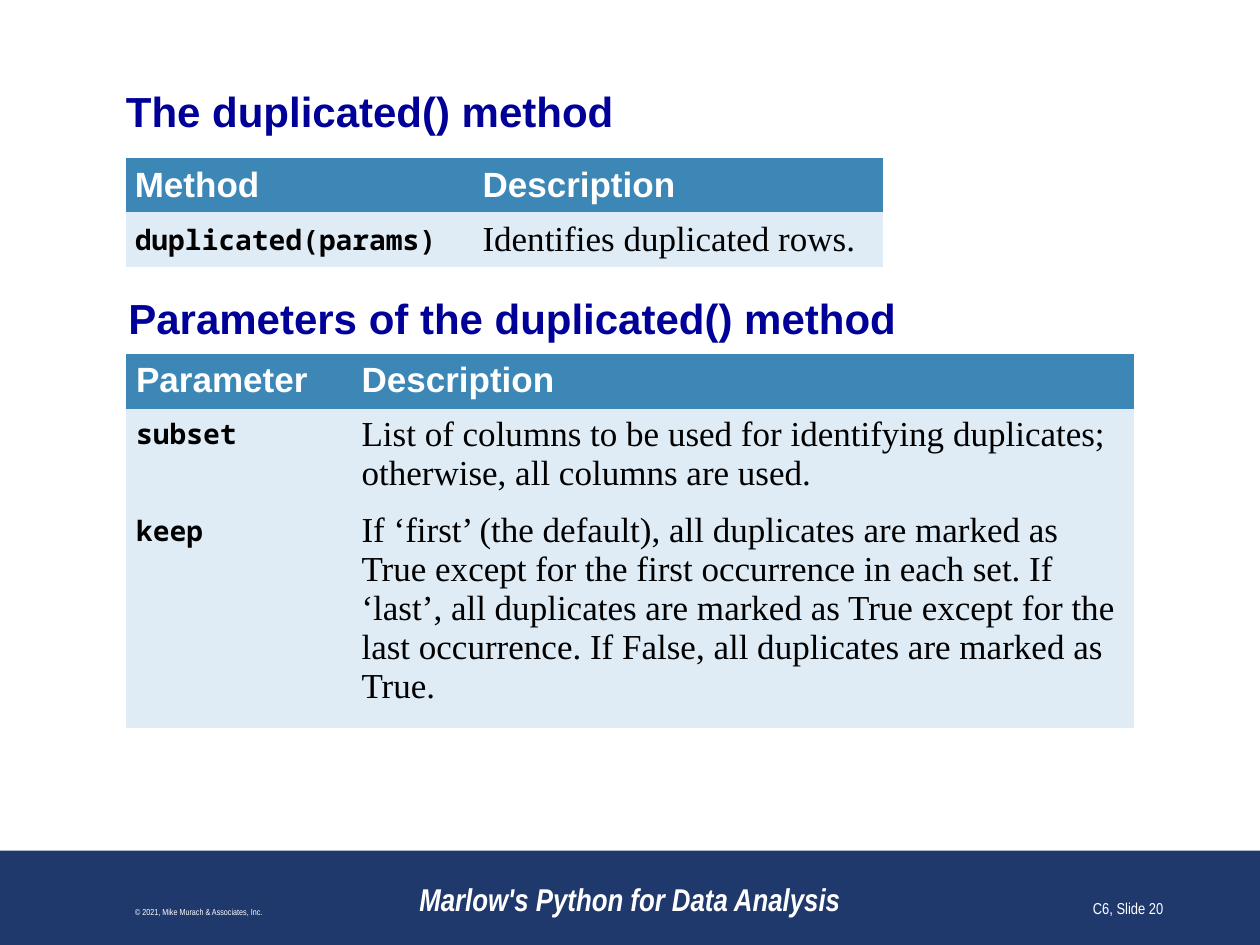
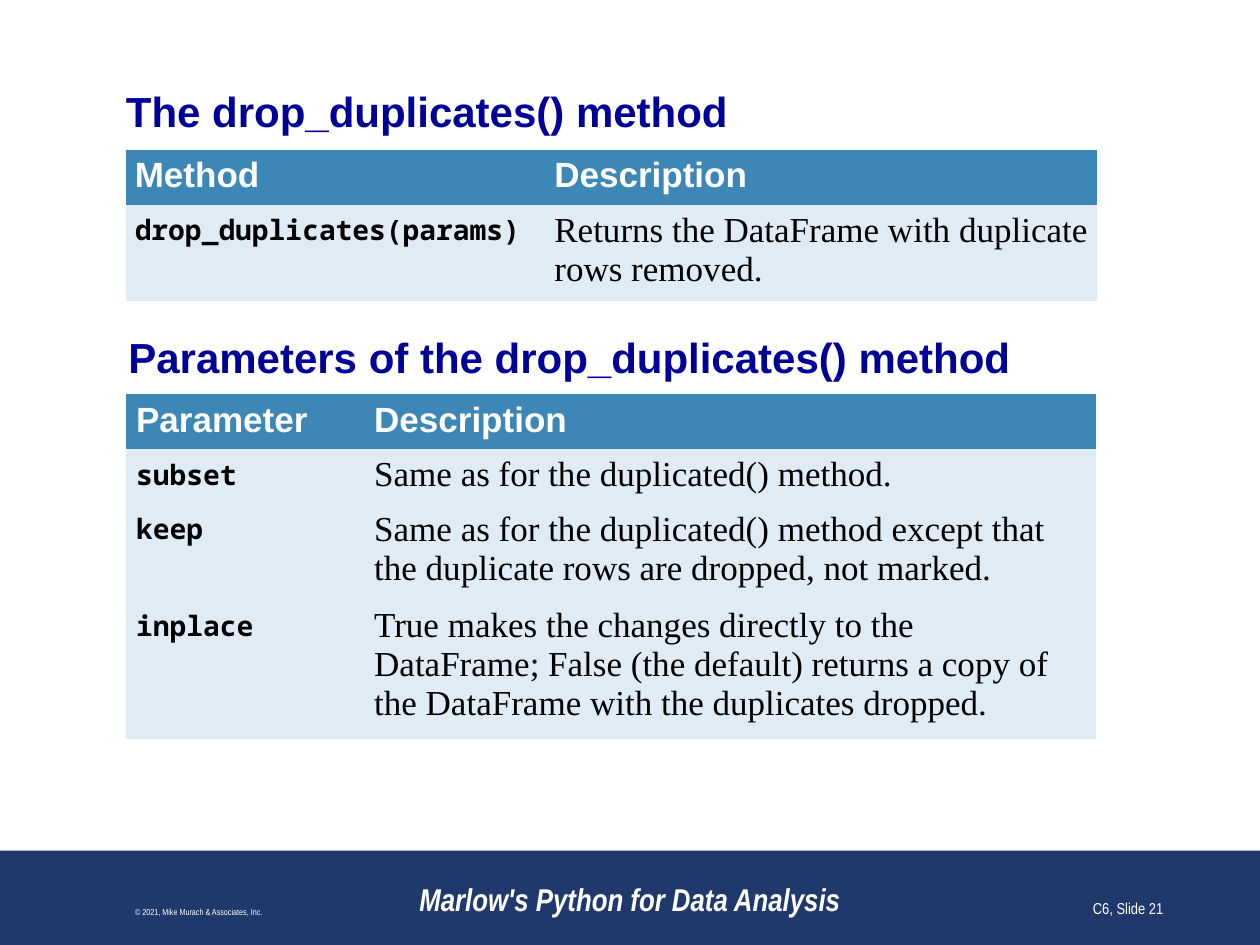
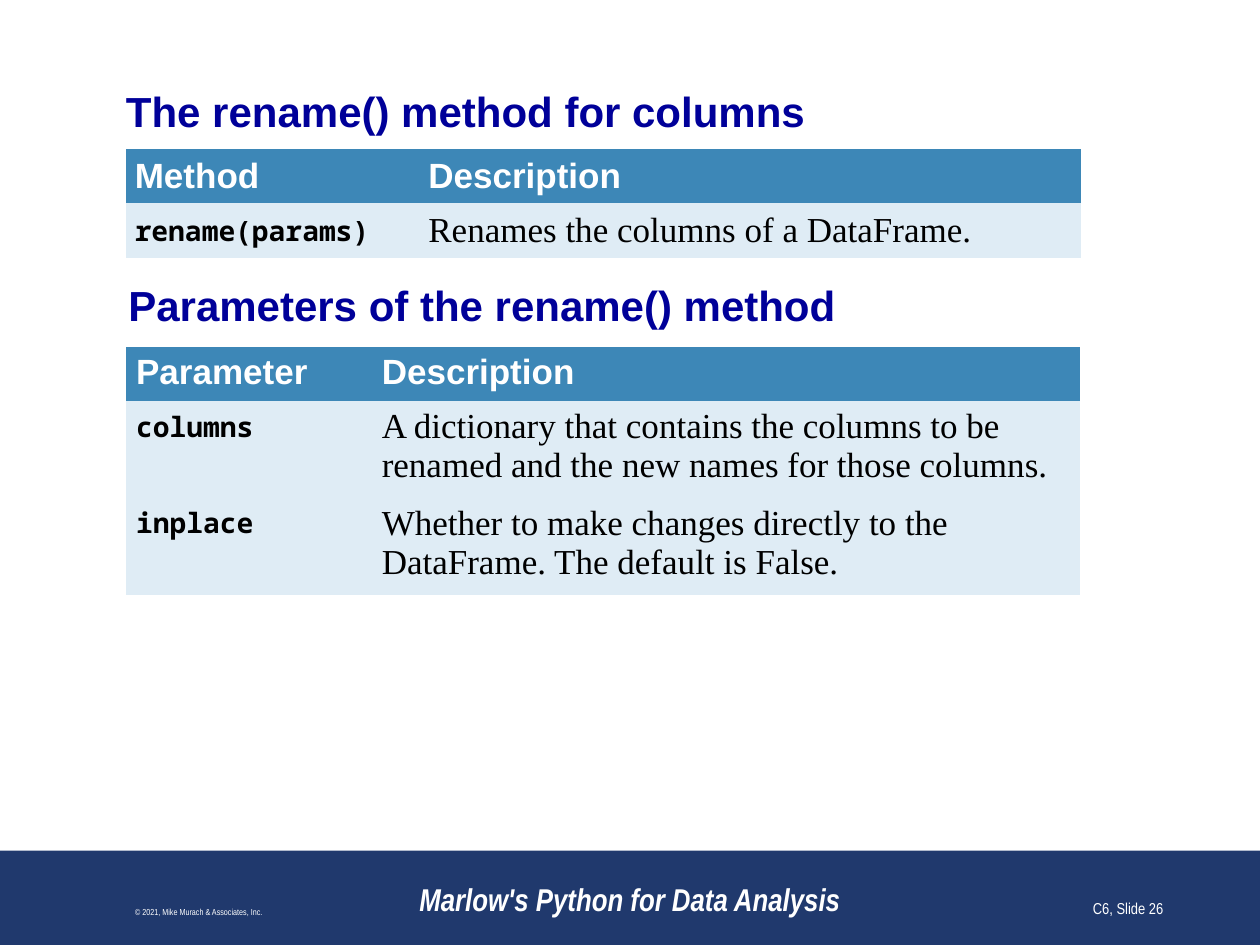
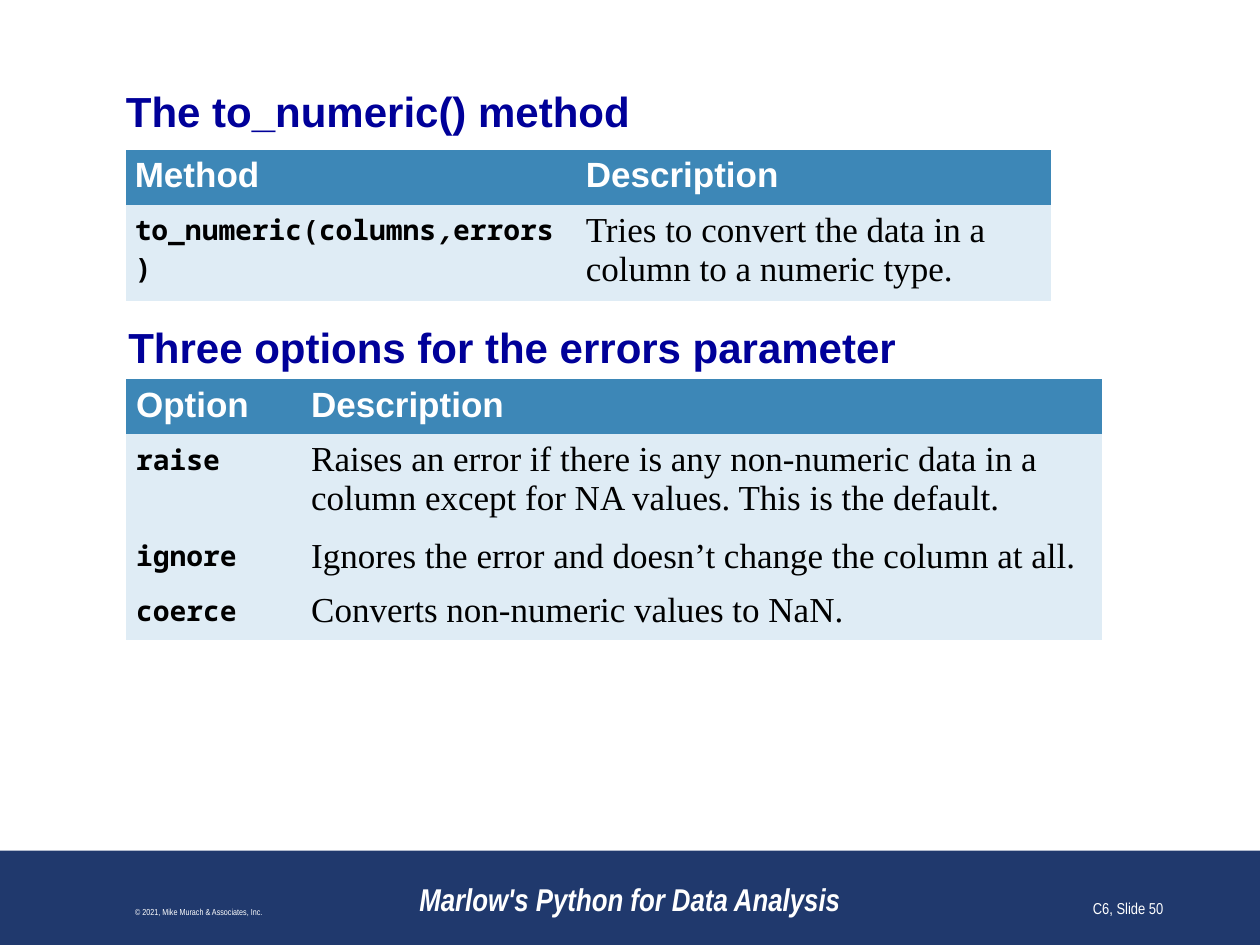
import dataclasses

import pptx
import pptx.dml.color
import pptx.enum.shapes
import pptx.enum.text
import pptx.util

ANCHOR = pptx.enum.text.MSO_ANCHOR
ALIGN = pptx.enum.text.PP_ALIGN


@dataclasses.dataclass(frozen=True)
class TextStyle:
    size: float
    font: str
    color: str
    bold: bool = False
    italic: bool = False


class Theme:
    # Fills
    paper = "FFFFFF"
    band = "20396D"
    header_fill = "3D87B7"
    row_fill = "DFECF5"
    plain_table = "{2D5ABB26-0587-4C30-8999-92F81FD0307C}"

    # Type
    heading = TextStyle(24, "Arial", "000099", bold=True)
    header = TextStyle(20, "Arial", paper, bold=True)
    code = TextStyle(16, "Noto Sans Mono", "000000", bold=True)
    body = TextStyle(20, "Times New Roman", "000000")
    book = TextStyle(18, "Arial Narrow", paper, bold=True, italic=True)
    copyright = TextStyle(5, "Arial Narrow", paper)
    page = TextStyle(9, "Arial Narrow", paper)
    space_after = 6


# The slide is a grid of 10 columns by 7.5 rows, each unit one inch
COLUMNS, ROWS = 10, 7.5
UNIT = pptx.util.Inches(1)
MARGIN = 1
BAND_TOP = 0.9 * ROWS
LINE_HEIGHT = 0.31
CELL_PADDING = 0.05


@dataclasses.dataclass
class Reference:
    """A two-column table; each row is code, description, number of lines."""
    top: float
    widths: tuple
    header: str
    rows: list
    side_padding: float = 0.08
    anchor: ANCHOR = ANCHOR.TOP


@dataclasses.dataclass
class Topic:
    page: int
    title: str
    method: Reference
    subtitle: str
    subtitle_top: float
    subtitle_height: float
    details: Reference


def method_table(top, widths, row, anchor=ANCHOR.TOP):
    return Reference(top, widths, "Method", [row], 0.07, anchor)


TOPICS = [
    Topic(
        20, "The duplicated() method",
        method_table(1.25, (2.76, 3.25),
                     ("duplicated(params)", "Identifies duplicated rows.", 1),
                     ANCHOR.MIDDLE),
        "Parameters of the duplicated() method", 2.27, 0.57,
        Reference(2.81, (1.79, 6.21), "Parameter", [
            ("subset", "List of columns to be used for identifying duplicates; "
                       "otherwise, all columns are used.", 2),
            ("keep", "If ‘first’ (the default), all duplicates are marked as "
                     "True except for the first occurrence in each set. If "
                     "‘last’, all duplicates are marked as True except for the "
                     "last occurrence. If False, all duplicates are marked as "
                     "True.", 5),
        ])),
    Topic(
        21, "The drop_duplicates() method",
        method_table(1.19, (3.33, 4.38),
                     ("drop_duplicates(params)",
                      "Returns the DataFrame with duplicate rows removed.", 2)),
        "Parameters of the drop_duplicates() method", 2.58, 0.5,
        Reference(3.13, (1.89, 5.81), "Parameter", [
            ("subset", "Same as for the duplicated() method.", 1),
            ("keep", "Same as for the duplicated() method except that the "
                     "duplicate rows are dropped, not marked.", 2),
            ("inplace", "True makes the changes directly to the DataFrame; "
                        "False (the default) returns a copy of the DataFrame "
                        "with the duplicates dropped.", 3),
        ])),
    Topic(
        26, "The rename() method for columns",
        method_table(1.18, (2.33, 5.25),
                     ("rename(params)", "Renames the columns of a DataFrame.", 1),
                     ANCHOR.MIDDLE),
        "Parameters of the rename() method", 2.17, 0.52,
        Reference(2.75, (1.95, 5.62), "Parameter", [
            ("columns", "A dictionary that contains the columns to be renamed "
                        "and the new names for those columns.", 2),
            ("inplace", "Whether to make changes directly to the DataFrame. "
                        "The default is False.", 2),
        ])),
    Topic(
        50, "The to_numeric() method",
        method_table(1.19, (3.58, 3.76),
                     ("to_numeric(columns,errors)",
                      "Tries to convert the data in a column to a numeric type.",
                      2)),
        "Three options for the errors parameter", 2.5, 0.5,
        Reference(3.01, (1.39, 6.36), "Option", [
            ("raise", "Raises an error if there is any non-numeric data in a "
                      "column except for NA values. This is the default.", 2),
            ("ignore", "Ignores the error and doesn’t change the column at all.",
             1),
            ("coerce", "Converts non-numeric values to NaN.", 1),
        ])),
]


def grid(*units):
    return [round(unit * UNIT) for unit in units]


def rgb(color):
    return pptx.dml.color.RGBColor.from_string(color)


def paint(target, color):
    target.fill.solid()
    target.fill.fore_color.rgb = rgb(color)


def write(frame, text, style, align=ALIGN.LEFT, space_after=0):
    """Fill a text frame with one styled paragraph."""
    paragraph = frame.paragraphs[0]
    paragraph.alignment = align
    paragraph.space_after = pptx.util.Pt(space_after)
    # The comma between code arguments is italic
    pieces = text.partition(",") if style is Theme.code else (text,)
    for piece in filter(None, pieces):
        run = paragraph.add_run()
        run.text = piece
        run.font.size = pptx.util.Pt(style.size)
        run.font.name = style.font
        run.font.bold = style.bold
        run.font.italic = style.italic or piece == ","
        run.font.color.rgb = rgb(style.color)


def add_text(slide, area, text, style, anchor, padding=(0.1, 0.05),
             align=ALIGN.LEFT, space_after=0):
    box = slide.shapes.add_textbox(*grid(*area))
    frame = box.text_frame
    frame.word_wrap = True
    frame.vertical_anchor = anchor
    frame.margin_left = frame.margin_right = grid(padding[0])[0]
    frame.margin_top = frame.margin_bottom = grid(padding[1])[0]
    write(frame, text, style, align, space_after)
    return box


def add_band(slide):
    band = slide.shapes.add_shape(
        pptx.enum.shapes.MSO_SHAPE.RECTANGLE,
        *grid(0, BAND_TOP, COLUMNS, ROWS - BAND_TOP))
    band.shadow.inherit = False
    paint(band, Theme.band)
    band.line.fill.background()


def add_footer(slide, page):
    for left, width, text, style, align in (
            (3, 4, "Marlow's Python for Data Analysis", Theme.book,
             ALIGN.CENTER),
            (0.08, 3, "© 2021, Mike Murach & Associates, Inc.",
             Theme.copyright, ALIGN.CENTER),
            (7.25, 2.08, f"C6, Slide {page}", Theme.page, ALIGN.RIGHT)):
        add_text(slide, (left, BAND_TOP + 0.08, width, 0.5), text, style,
                 ANCHOR.BOTTOM, align=align)


def add_reference(slide, reference):
    rows = [(reference.header, "Description", 1)] + reference.rows
    heights = [2 * CELL_PADDING + LINE_HEIGHT * lines for *_, lines in rows]
    table = slide.shapes.add_table(
        len(rows), 2, *grid(MARGIN, reference.top, sum(reference.widths),
                            sum(heights))).table
    table.horz_banding = False
    table._tbl.tblPr.find(pptx.oxml.ns.qn("a:tableStyleId")).text = \
        Theme.plain_table
    for column, width in zip(table.columns, grid(*reference.widths)):
        column.width = width
    for index, (row, height) in enumerate(zip(table.rows, grid(*heights))):
        row.height = height
        is_header = index == 0
        styles = (Theme.header,) * 2 if is_header else (Theme.code, Theme.body)
        for cell, text, style in zip(row.cells, rows[index], styles):
            paint(cell, Theme.header_fill if is_header else Theme.row_fill)
            cell.vertical_anchor = reference.anchor
            cell.margin_left = cell.margin_right = grid(
                reference.side_padding)[0]
            cell.margin_top = cell.margin_bottom = grid(CELL_PADDING)[0]
            write(cell.text_frame, text, style, space_after=Theme.space_after)


def add_topic(deck, topic):
    slide = deck.slides.add_slide(deck.slide_layouts[6])
    add_band(slide)

    # Method
    add_text(slide, (MARGIN, 0.68, COLUMNS - 2 * MARGIN, 0.4), topic.title,
             Theme.heading, ANCHOR.MIDDLE, padding=(0, 0),
             space_after=Theme.space_after)
    add_reference(slide, topic.method)

    # Parameters or options
    subtitle = add_text(
        slide, (0.92, topic.subtitle_top, 8.08, topic.subtitle_height),
        topic.subtitle, Theme.heading, ANCHOR.TOP,
        space_after=Theme.space_after)
    paint(subtitle, Theme.paper)
    add_reference(slide, topic.details)

    add_footer(slide, topic.page)


def main():
    deck = pptx.Presentation()
    deck.slide_width, deck.slide_height = grid(COLUMNS, ROWS)
    for topic in TOPICS:
        add_topic(deck, topic)
    deck.save("out.pptx")


if __name__ == "__main__":
    main()
